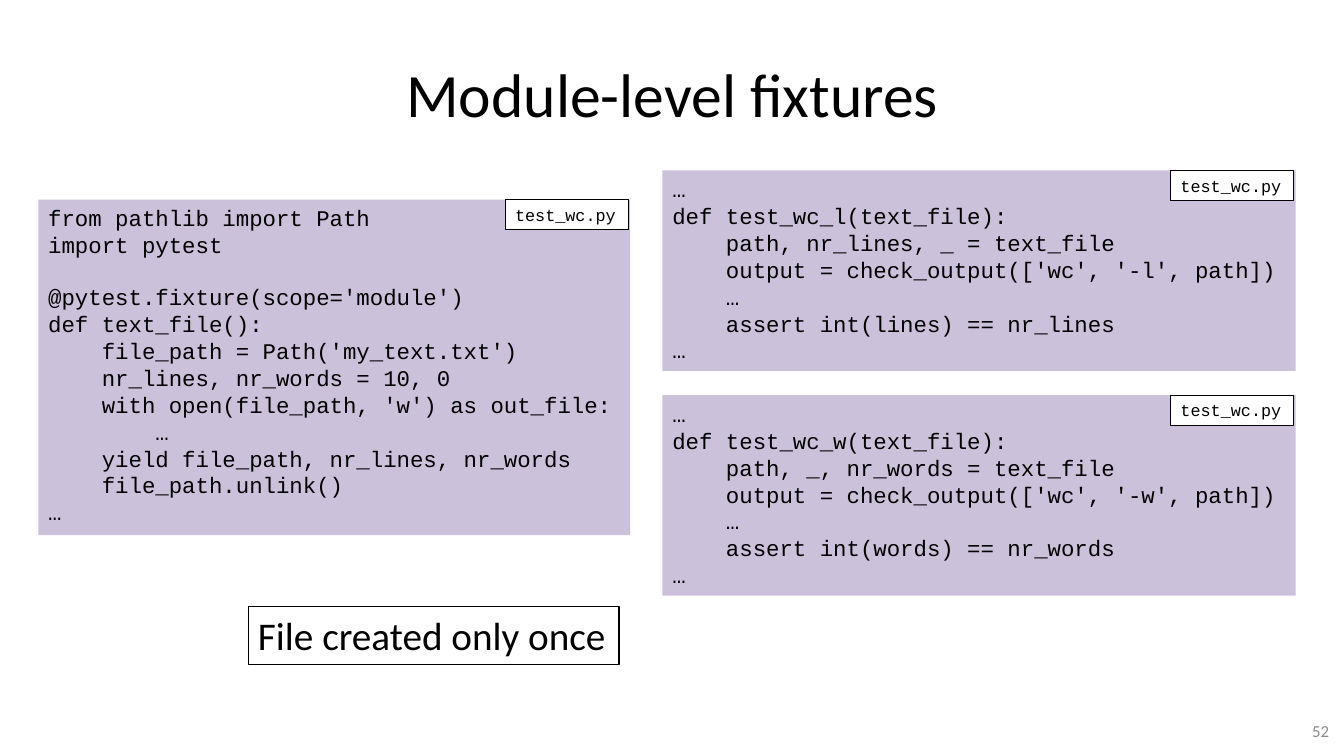
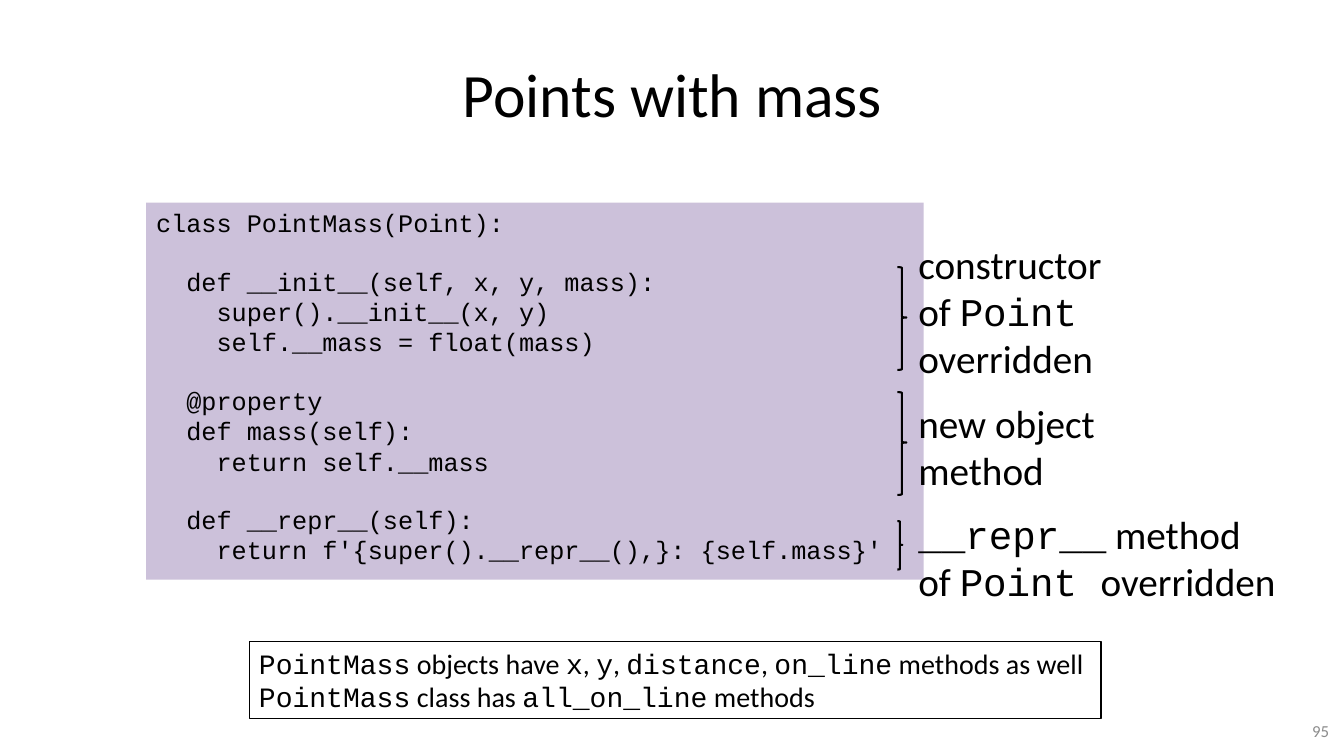
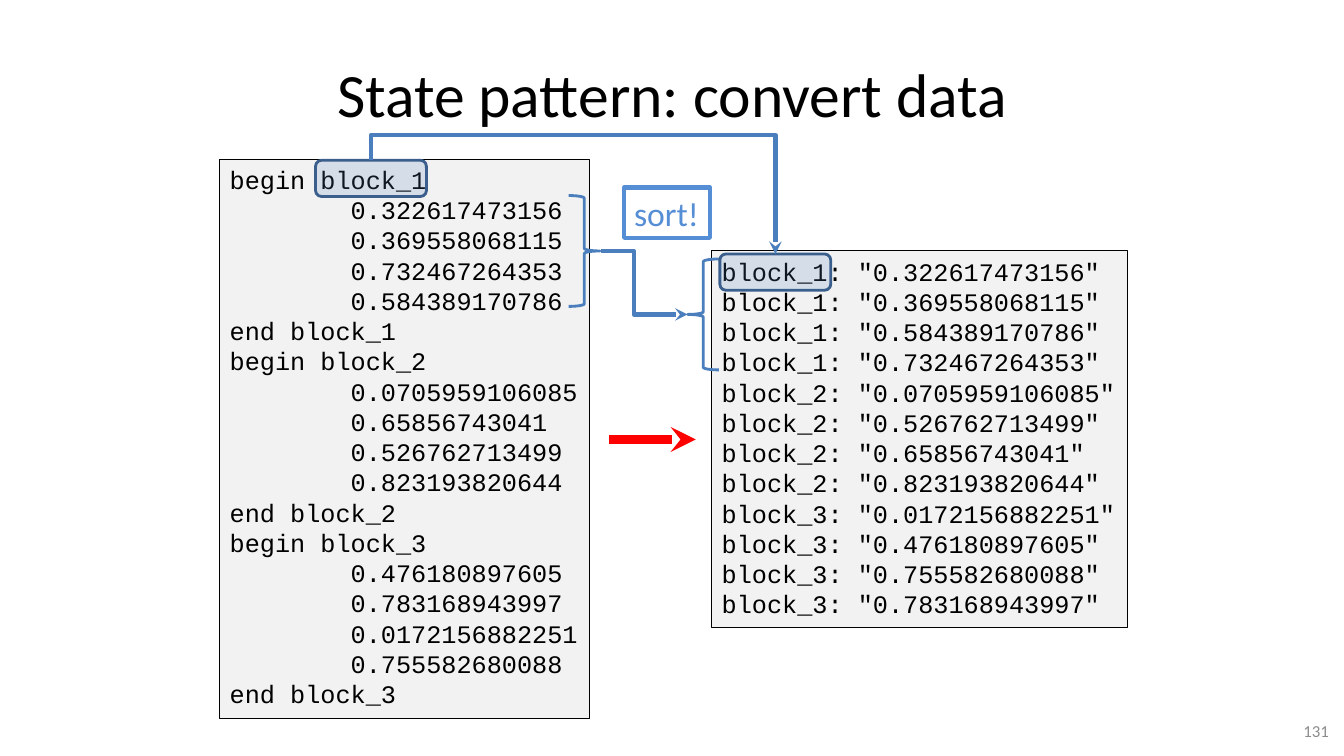
import pptx
import pptx.dml.color
import pptx.enum.shapes
import pptx.enum.text
import pptx.oxml
import pptx.oxml.ns
import pptx.util
from pptx.util import Inches

SANS = "Calibri"
MONO = "Courier New"
BLACK = "000000"
WHITE = "FFFFFF"
GRAY = "8C8C8C"
LAVENDER = "CCC1DA"
PALE = "F2F2F2"
BLUE = "4B7EBC"
SKY = "558ED5"
RED = "FF0000"
MONO_LINE_HEIGHT = 1.13
SHAPES = pptx.enum.shapes.MSO_SHAPE
CONNECTORS = pptx.enum.shapes.MSO_CONNECTOR
ALIGN = pptx.enum.text.PP_ALIGN
MIDDLE = pptx.enum.text.MSO_ANCHOR.MIDDLE

FIXTURE_CODE = """
from pathlib import Path
import pytest

@pytest.fixture(scope='module')
def text_file():
    file_path = Path('my_text.txt')
    nr_lines, nr_words = 10, 0
    with open(file_path, 'w') as out_file:
        …
    yield file_path, nr_lines, nr_words
    file_path.unlink()
…
"""

TEST_CODE = """
…
def test_wc_{flag}(text_file):
    path, {targets} = text_file
    output = check_output(['wc', '-{flag}', path])
    …
    assert int({name}) == nr_{name}
…
"""

CLASS_CODE = """
class PointMass(Point):

  def __init__(self, x, y, mass):
    super().__init__(x, y)
    self.__mass = float(mass)

  @property
  def mass(self):
    return self.__mass

  def __repr__(self):
    return f'{super().__repr__(),}: {self.mass}'
"""

BLOCKS = {
    "block_1": ["0.322617473156", "0.369558068115", "0.732467264353", "0.584389170786"],
    "block_2": ["0.0705959106085", "0.65856743041", "0.526762713499", "0.823193820644"],
    "block_3": ["0.476180897605", "0.783168943997", "0.0172156882251", "0.755582680088"],
}


def rgb(hex_string):
    return pptx.dml.color.RGBColor.from_string(hex_string)


def add_element(parent, tag, **attributes):
    element = pptx.oxml.parse_xml(f"<{tag} {pptx.oxml.ns.nsdecls('a')}/>")
    for name, value in attributes.items():
        element.set(name, str(value))
    parent.append(element)
    return element


def write_text(frame, text, font=SANS, size=18, color=BLACK, align=ALIGN.LEFT):
    """Backticks switch to the code font; an empty line becomes space before."""
    paragraph, gap = None, 0
    for line in text.strip("\n").split("\n"):
        if not line:
            gap += size * MONO_LINE_HEIGHT
            continue
        paragraph = frame.add_paragraph() if paragraph else frame.paragraphs[0]
        paragraph.alignment = align
        paragraph.space_before = pptx.util.Pt(gap)
        gap = 0
        for index, part in enumerate(line.split("`")):
            if part:
                run = paragraph.add_run()
                run.text = part
                run.font.name = MONO if index % 2 else font
                run.font.size = pptx.util.Pt(size)
                run.font.color.rgb = rgb(color)


class Deck:
    def __init__(self):
        self.presentation = pptx.Presentation()
        self.presentation.slide_width = Inches(13.33)
        self.presentation.slide_height = Inches(7.5)
        self.slide = None

    def start_slide(self, title, number):
        layout = self.presentation.slide_layouts[5]
        self.slide = self.presentation.slides.add_slide(layout)
        shape = self.slide.shapes.title
        shape.left, shape.top = Inches(0.67), Inches(0.3)
        shape.width, shape.height = Inches(12), Inches(1.25)
        shape.text_frame.vertical_anchor = MIDDLE
        write_text(shape.text_frame, title, size=44, align=ALIGN.CENTER)
        footer = self.text_box(10.17, 7.05, 3.11, 0.4, str(number), wrap=True,
                               size=12, color=GRAY, align=ALIGN.RIGHT)
        footer.text_frame.auto_size = pptx.enum.text.MSO_AUTO_SIZE.NONE
        footer.text_frame.vertical_anchor = MIDDLE

    def style_line(self, line, color, width):
        line.color.rgb = rgb(color)
        line.width = pptx.util.Pt(width)

    def text_box(self, left, top, width, height, text, fill=None, line=None,
                 line_width=0.75, wrap=False, **text_format):
        shape = self.slide.shapes.add_textbox(
            Inches(left), Inches(top), Inches(width), Inches(height))
        shape.text_frame.word_wrap = wrap
        shape.text_frame.auto_size = pptx.enum.text.MSO_AUTO_SIZE.SHAPE_TO_FIT_TEXT
        if fill:
            shape.fill.solid()
            shape.fill.fore_color.rgb = rgb(fill)
        if line:
            self.style_line(shape.line, line, line_width)
        write_text(shape.text_frame, text, **text_format)
        return shape

    def code_file(self, left, top, width, height, text):
        self.text_box(left, top, width, height, text, fill=LAVENDER, font=MONO, size=16)
        self.text_box(left + width - 1.24, top, 1.22, 0.3, "test_wc.py",
                      fill=WHITE, line=BLACK, font=MONO, size=12)

    def outline(self, kind, left, top, width, height, color, line_width, adjustments=()):
        shape = self.slide.shapes.add_shape(
            kind, Inches(left), Inches(top), Inches(width), Inches(height))
        shape.shadow.inherit = False
        shape.fill.background()
        self.style_line(shape.line, color, line_width)
        for index, value in enumerate(adjustments):
            shape.adjustments[index] = value
        return shape

    def highlight(self, left, top):
        shape = self.outline(SHAPES.ROUNDED_RECTANGLE, left, top, 1.1, 0.36, "3A5F8C", 2)
        shape.fill.solid()
        shape.fill.fore_color.rgb = rgb("4F81BD")
        color = shape._element.spPr.find(".//" + pptx.oxml.ns.qn("a:srgbClr"))
        add_element(color, "a:alpha", val=18000)

    def arrow(self, begin, end, color, width, kind=CONNECTORS.STRAIGHT):
        connector = self.slide.shapes.add_connector(
            kind, *(Inches(value) for value in (*begin, *end)))
        self.style_line(connector.line, color, width)
        properties = connector._element.spPr
        add_element(properties.find(pptx.oxml.ns.qn("a:ln")), "a:tailEnd", type="stealth")
        add_element(properties, "a:effectLst")
        return properties

    def elbow_arrow(self, begin, end, bend, vertical=False):
        if vertical:
            center_x, center_y = (begin[0] + end[0]) / 2, (begin[1] + end[1]) / 2
            half_x, half_y = (end[0] - begin[0]) / 2, (end[1] - begin[1]) / 2
            begin = center_x + half_y, center_y - half_x
            end = center_x - half_y, center_y + half_x
        properties = self.arrow(begin, end, BLUE, 3, CONNECTORS.ELBOW)
        if vertical:
            properties.find(pptx.oxml.ns.qn("a:xfrm")).set("rot", "16200000")
        guides = properties.find(".//" + pptx.oxml.ns.qn("a:avLst"))
        add_element(guides, "a:gd", name="adj1", fmla=f"val {round(bend * 100000)}")


def build_fixtures(deck):
    deck.start_slide("Module-level fixtures", 52)
    deck.code_file(0.38, 1.98, 5.87, 3.33, FIXTURE_CODE)
    deck.text_box(2.46, 6.02, 3.68, 0.57, "File created only once",
                  fill=WHITE, line=BLACK, size=28)
    tests = [(1.69, "l", "nr_lines, _", "lines"), (3.92, "w", "_, nr_words", "words")]
    for top, flag, targets, name in tests:
        text = TEST_CODE.format(flag=flag, targets=targets, name=name)
        deck.code_file(6.57, top, 6.28, 1.99, text)


def build_points(deck):
    deck.start_slide("Points with mass", 95)
    deck.text_box(1.45, 2.01, 7.71, 3.74, CLASS_CODE, fill=LAVENDER, wrap=True, font=MONO)
    notes = [
        ((2.65, 0.09, 1.02), (2.33, 2.04, 1.51), "constructor\nof `Point`\noverridden"),
        ((3.89, 0.09, 1.02), (3.91, 1.97, 1.04), "new object\nmethod"),
        ((5.17, 0.05, 0.48), (5.01, 3.78, 1.04),
         "`__repr__` method\nof `Point `overridden"),
    ]
    for brace, note, text in notes:
        deck.outline(SHAPES.RIGHT_BRACE, 8.9, *brace, BLACK, 1.5, adjustments=(0.08, 0.49))
        deck.text_box(9.01, *note, text, size=28)
    deck.text_box(
        2.47, 6.36, 8.45, 0.77,
        "`PointMass` objects have `x`, `y`, `distance`, `on_line` methods as well\n"
        "`PointMass` class has `all_on_line` methods",
        line=BLACK, size=20)


def build_conversion(deck):
    deck.start_slide("State pattern: convert data", 131)
    source, result = [], []
    for name, values in BLOCKS.items():
        source += [f"begin {name}", *(" " * 8 + value for value in values), f"end {name}"]
        result += [f'{name}: "{value}"' for value in sorted(values)]
    deck.text_box(2.18, 1.58, 3.67, 5.55, "\n".join(source),
                  fill=PALE, line=BLACK, font=MONO)
    deck.text_box(7.06, 2.49, 4.12, 3.74, "\n".join(result),
                  fill=PALE, line=BLACK, font=MONO)
    deck.arrow((6.04, 4.36), (6.9, 4.36), RED, 6)
    deck.outline(SHAPES.RIGHT_BRACE, 5.64, 1.94, 0.31, 1.1, BLUE, 2)
    deck.outline(SHAPES.LEFT_BRACE, 6.82, 2.57, 0.31, 1.1, BLUE, 2)
    deck.elbow_arrow((5.96, 2.49), (6.82, 3.12), 0.38)
    deck.text_box(6.19, 1.86, 0.85, 0.5, "sort!", line=SKY, line_width=3,
                  size=24, color=SKY)
    deck.highlight(3.13, 1.59)
    deck.highlight(7.14, 2.52)
    deck.elbow_arrow((3.68, 1.59), (7.69, 2.52), -0.27, vertical=True)


def main():
    deck = Deck()
    build_fixtures(deck)
    build_points(deck)
    build_conversion(deck)
    deck.presentation.save("out.pptx")


if __name__ == "__main__":
    main()
